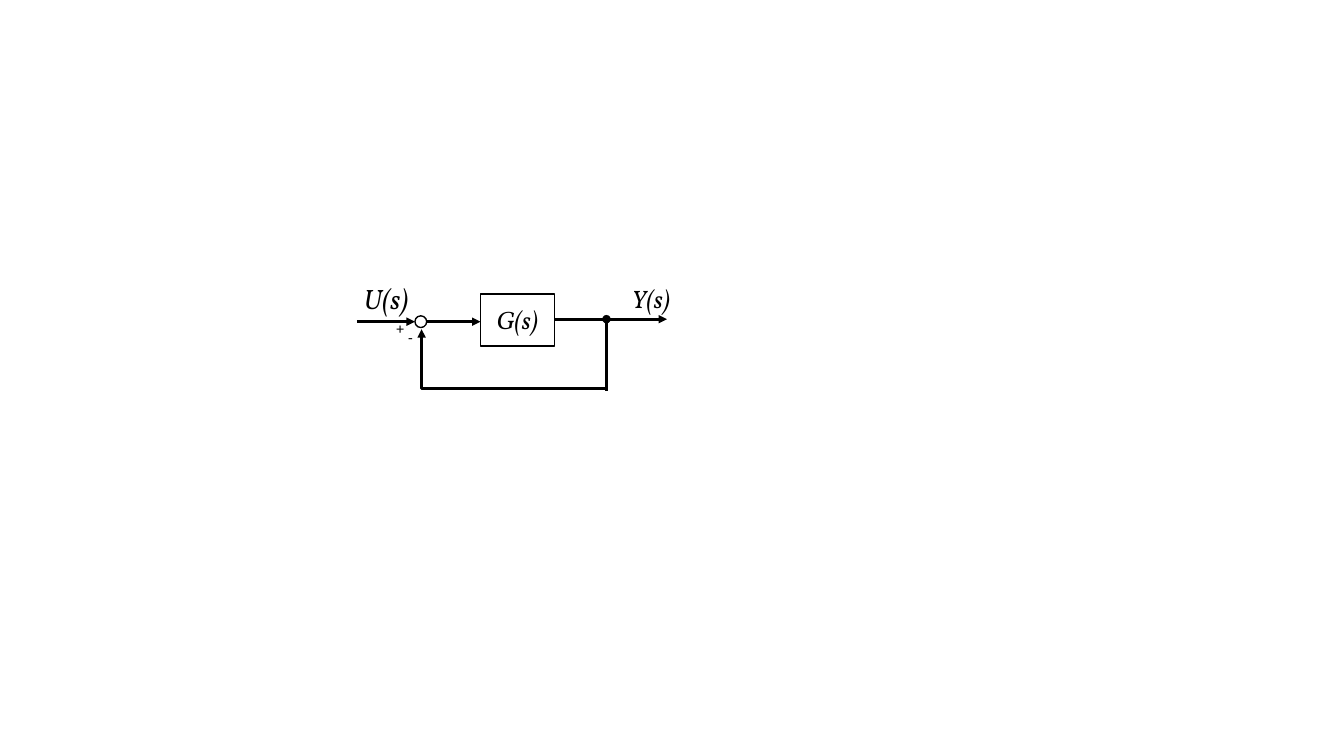
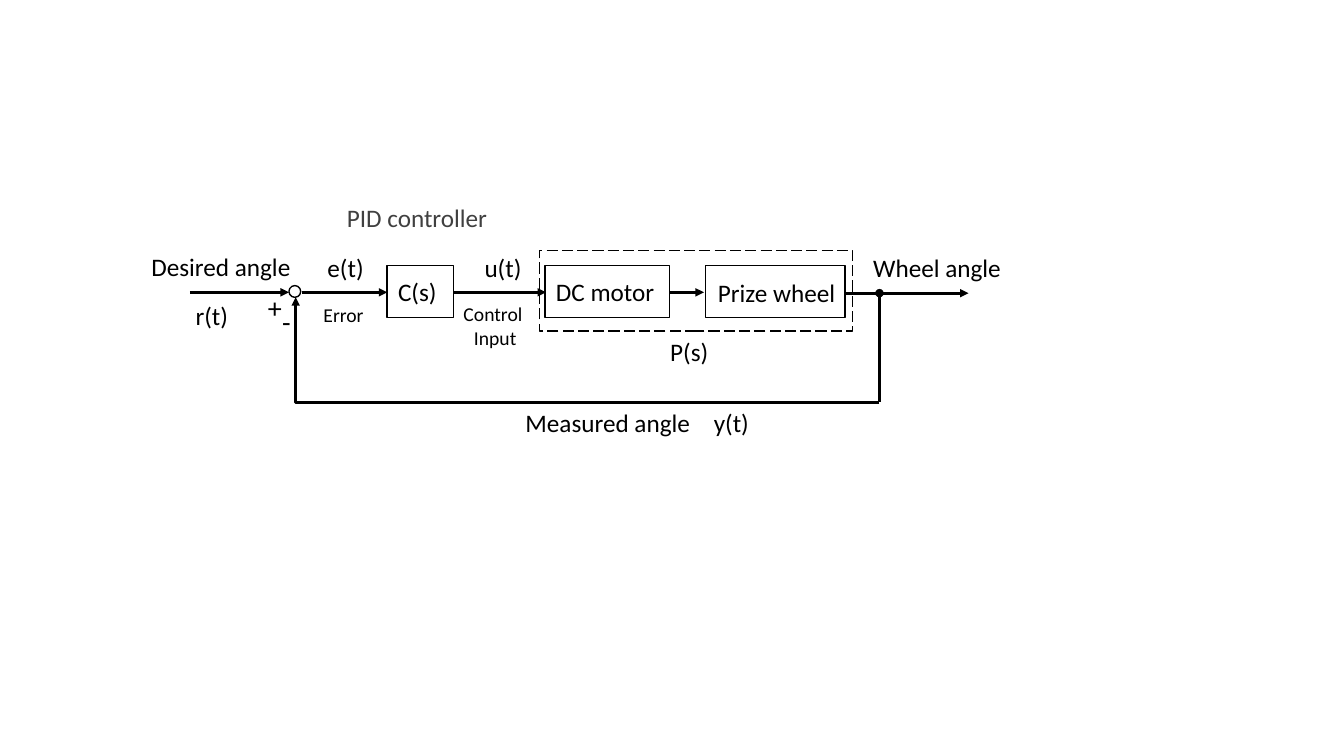
from lxml import etree
from pptx import Presentation
from pptx import util as u
from pptx.dml.color import RGBColor
from pptx.enum import dml, shapes, text
from pptx.oxml import ns

COLORS = {"ink": "000000", "muted": "404040"}
LEFT, CENTER = text.PP_ALIGN.LEFT, text.PP_ALIGN.CENTER
RECT, OVAL = shapes.MSO_SHAPE.RECTANGLE, shapes.MSO_SHAPE.OVAL
BOX_H, SUM_D = 6.2, 1.4

prs = Presentation()
prs.slide_width, prs.slide_height = u.Inches(13.33), u.Inches(7.5)
COL, ROW = prs.slide_width / 160, prs.slide_height / 90


def grid(x, y):
    return int(x * COL), int(y * ROW)


def style_line(line, width):
    line.color.rgb = RGBColor.from_string(COLORS["ink"])
    line.width = u.Pt(width)


diagrams = [
    {
        "font": "Vollkorn",
        "boxes": [
            (RECT, 57.2, 35, 8.8, BOX_H, False),
            (OVAL, 49.4, 37.6, SUM_D, SUM_D, False),
        ],
        "wires": [
            (66, 38, 72.2, 38, "oval"),
            (42.5, 38.3, 49.4, 38.3, "triangle"),
            (50.8, 38.3, 57.2, 38.3, "triangle"),
            (72.5, 38, 79.4, 38, "triangle"),
            (72.2, 38.4, 72.2, 46.5, None),
            (72.2, 46.3, 50.2, 39.2, "triangle"),
        ],
        "labels": [
            ("U(s)", 41.6, 32.9, 8.8, 20, CENTER, False),
            ("Y(s)", 74, 33.2, 9.4, 18, LEFT, False),
            ("G(s)", 57.6, 35.6, 8, 18, CENTER, False),
            ("+", 46, 37.4, 3.2, 11, LEFT, True),
            ("-", 47.4, 38.5, 3.2, 11, LEFT, True),
        ],
    },
    {
        "font": "Calibri",
        "boxes": [
            (RECT, 46.1, 31.6, 7.9, BOX_H, False),
            (RECT, 64.9, 31.6, 14.8, BOX_H, False),
            (RECT, 84, 31.6, 16.6, BOX_H, False),
            (OVAL, 34.4, 34, SUM_D, SUM_D, False),
            (RECT, 64.2, 29.8, 37.3, 9.6, True),
        ],
        "wires": [
            (22.6, 34.8, 34.4, 34.8, "triangle"),
            (35.9, 34.8, 46.1, 34.8, "triangle"),
            (54, 34.8, 65, 34.8, "triangle"),
            (79.8, 34.8, 83.8, 34.8, "triangle"),
            (100.6, 34.9, 104.7, 34.9, "oval"),
            (104.7, 34.9, 115.3, 34.9, "triangle"),
            (104.7, 35, 104.7, 47.9, None),
            (104.7, 47.9, 35.2, 35.4, "triangle"),
        ],
        "labels": [
            ("C(s)", 46.2, 32.3, 10.4, 18, LEFT, True),
            ("DC motor", 65, 32.3, 15.8, 18, LEFT, True),
            ("Prize wheel", 81.9, 32.4, 21.1, 18, CENTER, True),
            ("Desired angle", 16.7, 29.3, 19.2, 18, CENTER, False),
            ("Wheel angle", 102.6, 29.5, 17.9, 18, CENTER, False),
            ("+", 30.7, 34, 3.2, 20, LEFT, True),
            ("-", 32.4, 35.6, 3.2, 20, LEFT, True),
            ("Measured angle", 61.2, 47.9, 22.3, 18, CENTER, False),
            ("PID controller", 35.6, 23.5, 28.1, 18, CENTER, True),
            ("Error", 37.3, 35.5, 7.2, 14, CENTER, False),
            ("P(s)", 78.6, 39.4, 14, 18, LEFT, True),
            ("y(t)", 83.8, 47.9, 7.4, 18, LEFT, True),
            ("r(t)", 22.1, 35.2, 7.4, 18, LEFT, True),
            ("Control \nInput", 53.9, 35.4, 10.1, 14, CENTER, False),
            ("u(t)", 56.5, 29.4, 6.8, 18, LEFT, False),
            ("e(t)", 37.8, 29.4, 6.8, 18, LEFT, False),
        ],
    },
]

for diagram in diagrams:
    s = prs.slides.add_slide(prs.slide_layouts[6])

    for kind, x, y, w, h, dashed in diagram["boxes"]:
        sp = s.shapes.add_shape(kind, *grid(x, y), *grid(w, h))
        sp.shadow.inherit = False
        sp.fill.background()
        style_line(sp.line, 1)
        if dashed:
            sp.line.dash_style = dml.MSO_LINE.LONG_DASH

    for x1, y1, x2, y2, tip in diagram["wires"]:
        bent = x1 != x2 and y1 != y2
        kind = shapes.MSO_CONNECTOR.ELBOW if bent else shapes.MSO_CONNECTOR.STRAIGHT
        wire = s.shapes.add_connector(kind, *grid(x1, y1), *grid(x2, y2))
        style_line(wire.line, 2)
        sppr = wire._element.spPr
        if bent:
            sppr.find(ns.qn("a:prstGeom")).set("prst", "bentConnector2")
        if tip:
            etree.SubElement(sppr.find(ns.qn("a:ln")), ns.qn("a:tailEnd"), type=tip)
        etree.SubElement(sppr, ns.qn("a:effectLst"))

    for words, x, y, w, size, align, wrap in diagram["labels"]:
        lines = words.count("\n") + 1
        sp = s.shapes.add_textbox(*grid(x, y), *grid(w, 1.2 + 0.2 * size * lines))
        tf = sp.text_frame
        tf.text = words
        tf.word_wrap = wrap
        tf.auto_size = text.MSO_AUTO_SIZE.SHAPE_TO_FIT_TEXT
        color = COLORS["muted" if words == "PID controller" else "ink"]
        for p in tf.paragraphs:
            p.alignment = align
            for r in p.runs:
                is_sign = words in "+-"
                r.font.name = "Calibri" if is_sign else diagram["font"]
                r.font.italic = diagram["font"] == "Vollkorn" and not is_sign
                r.font.size = u.Pt(size)
                r.font.color.rgb = RGBColor.from_string(color)

prs.save("out.pptx")
